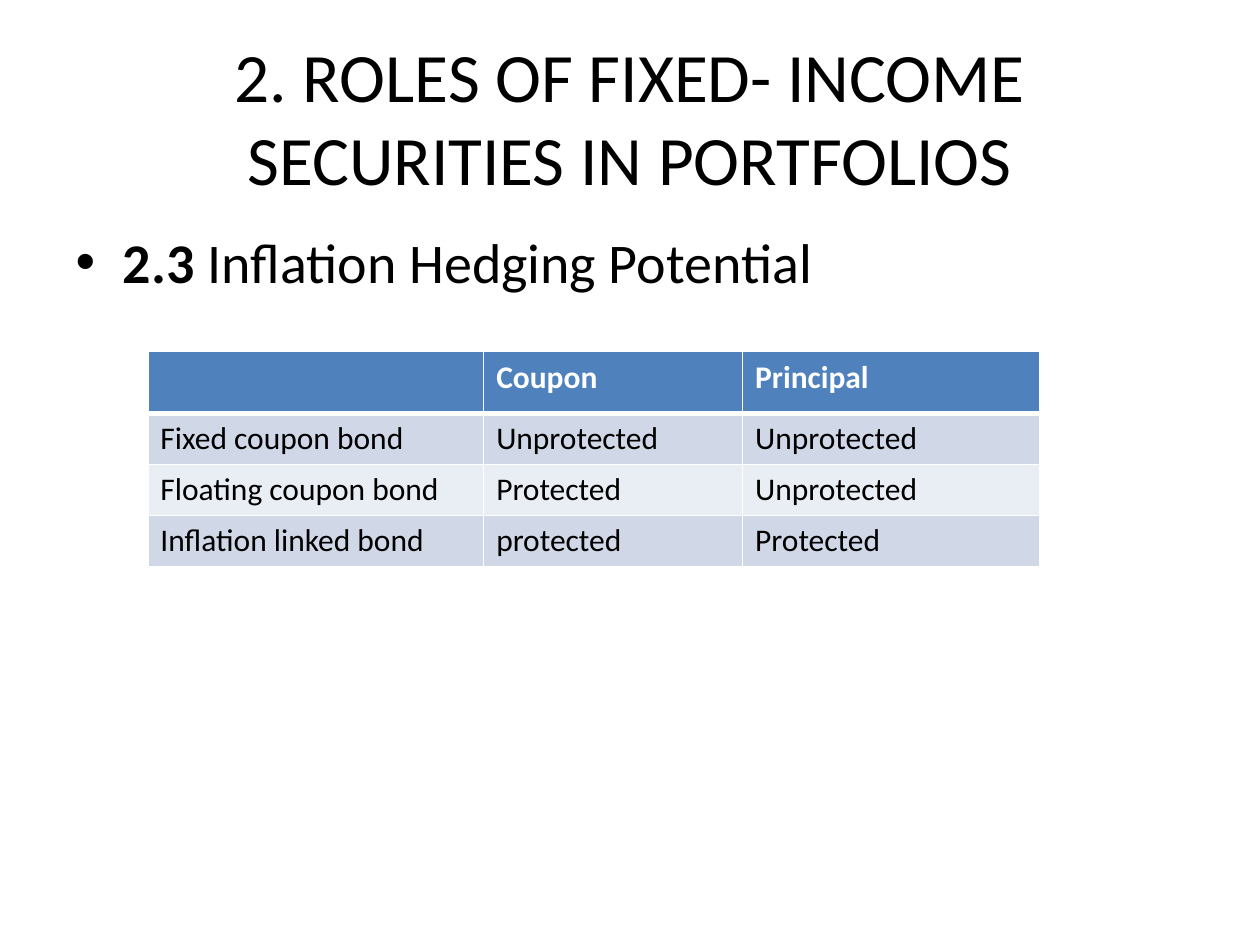
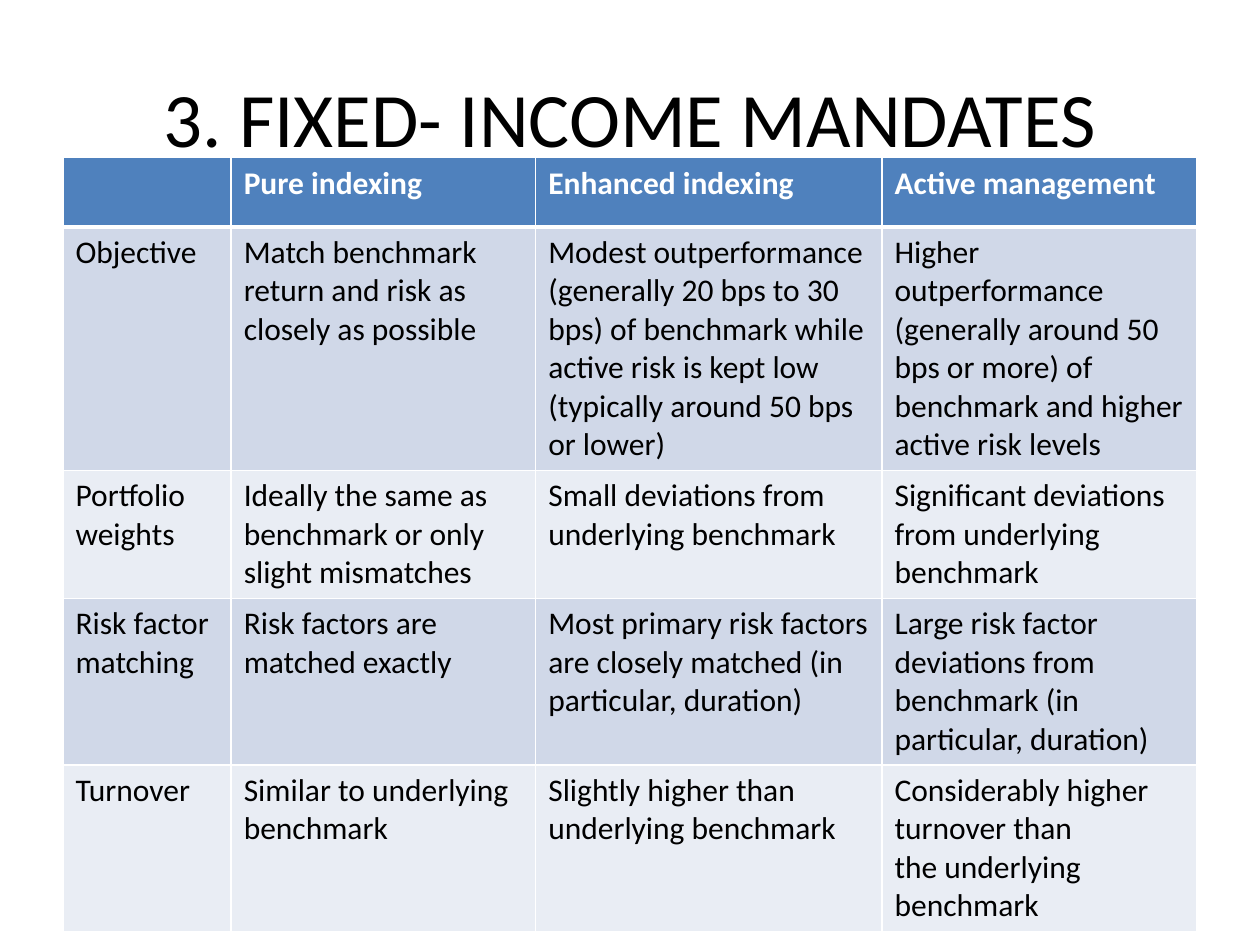
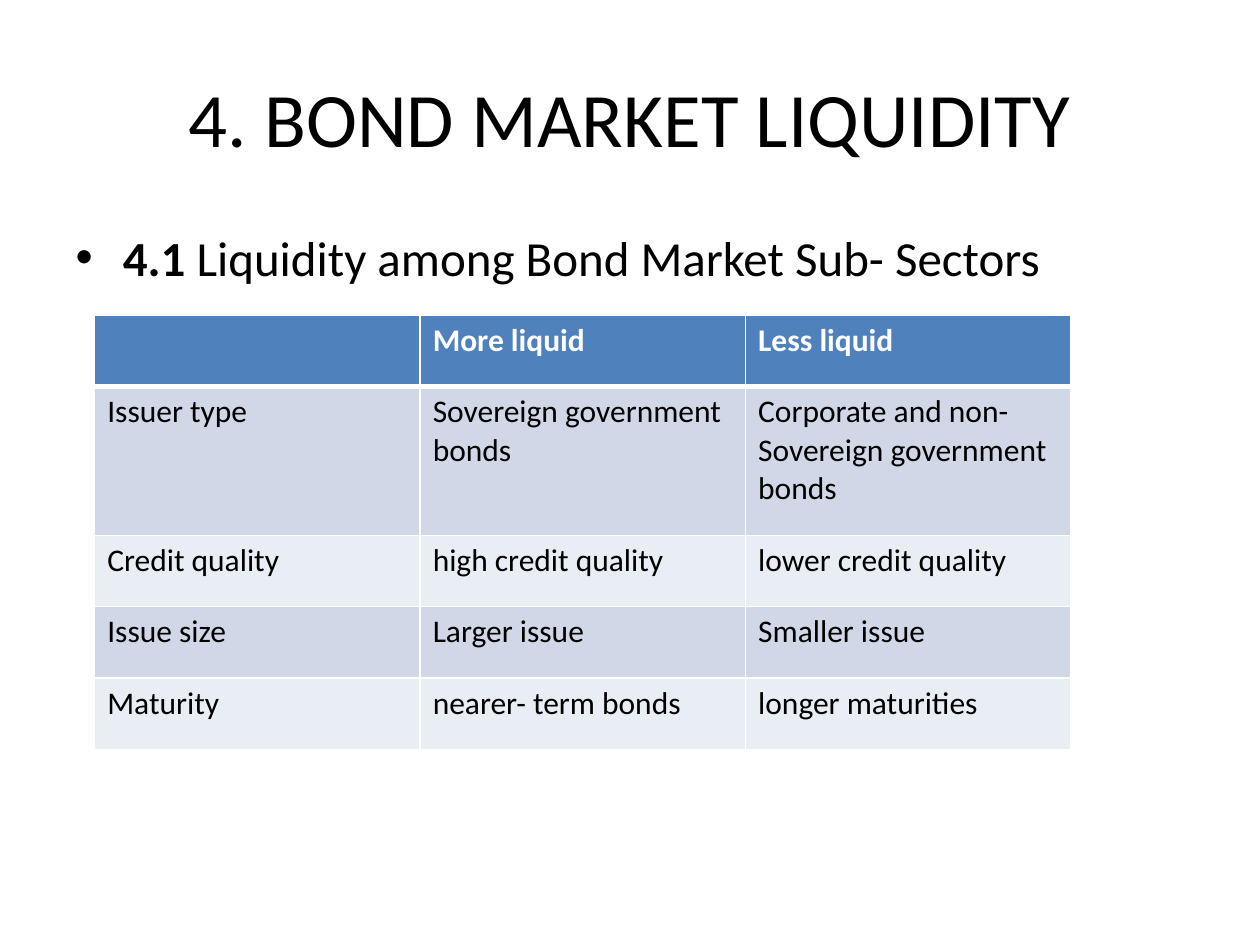
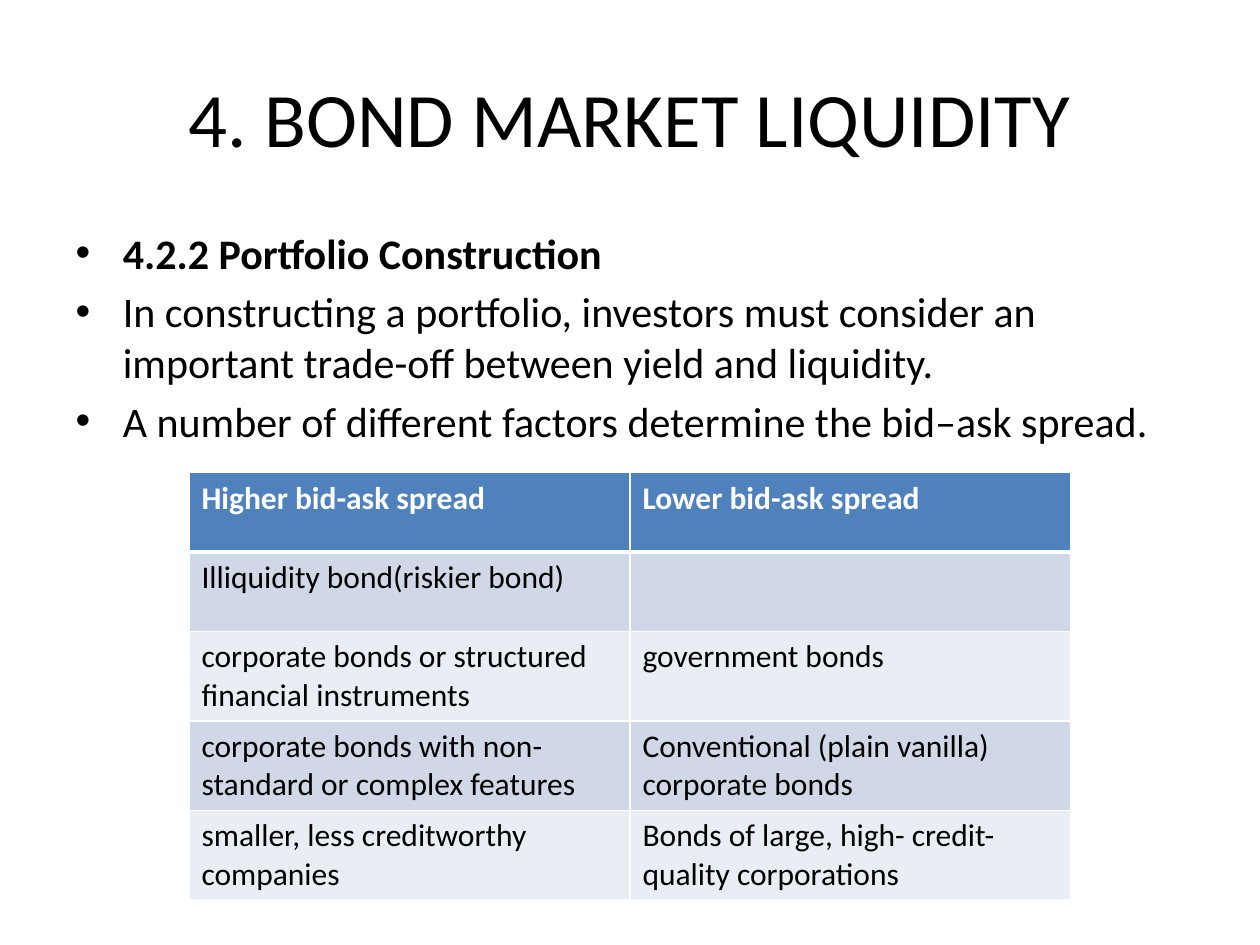
from lxml.etree import SubElement
from pptx import Presentation
from pptx.dml.color import RGBColor as RGB
from pptx.enum.text import MSO_ANCHOR as Anchor, MSO_AUTO_SIZE as AutoSize, PP_ALIGN as Align
from pptx.oxml.ns import qn
from pptx.util import Cm, Pt

# Shared style
FONT = "Calibri"
COLORS = {
    "text": "000000",
    "header": "4F81BD",
    "header_text": "FFFFFF",
    "band_dark": "D0D8E8",
    "band_light": "E9EDF4",
    "grid": "FFFFFF",
}
TITLE_BOX = (1.27, 0.76, 22.86, 3.18)
BODY_BOX = (1.27, 4.45, 22.86, 12.57)
TITLE_AND_BODY, TITLE_ONLY = 1, 5
LIQUIDITY_TITLE = "4. BOND MARKET LIQUIDITY"


class Deck:
    """Holds the presentation, its style and the current slide."""

    def __init__(self):
        self.prs = Presentation()
        self.prs.slide_width, self.prs.slide_height = Cm(25.4), Cm(19.05)
        self.s = None

    def slide(self, title, size=44, layout=TITLE_AND_BODY):
        self.s = self.prs.slides.add_slide(self.prs.slide_layouts[layout])
        tf = self.place(self.s.shapes.title, TITLE_BOX)
        tf.vertical_anchor = Anchor.MIDDLE
        tf.text = title
        tf.paragraphs[0].alignment = Align.CENTER
        self.format(tf.paragraphs[0].runs[0], size)

    def place(self, sp, box):
        sp.left, sp.top, sp.width, sp.height = (Cm(v) for v in box)
        tf = sp.text_frame
        tf.word_wrap = True
        tf.auto_size = AutoSize.NONE
        return tf

    def format(self, r, size, color="text", bold=False):
        r.font.name, r.font.size, r.font.bold = FONT, Pt(size), bold
        r.font.color.rgb = RGB.from_string(COLORS[color])

    def bullets(self, items, size):
        """Each item is a (bold lead, plain rest) pair."""
        tf = self.place(self.s.placeholders[1], BODY_BOX)
        for i, (lead, rest) in enumerate(items):
            p = tf.add_paragraph() if i else tf.paragraphs[0]
            for text, bold in ((lead, True), (rest, False)):
                if text:
                    r = p.add_run()
                    r.text = text
                    self.format(r, size, bold=bold)

    def table(self, left, top, widths, heights, rows):
        frame = self.s.shapes.add_table(
            len(rows), len(widths), Cm(left), Cm(top), Cm(sum(widths)), Cm(sum(heights)))
        tbl = frame.table
        for col, width in zip(tbl.columns, widths):
            col.width = Cm(width)
        for i, (row, height) in enumerate(zip(rows, heights)):
            tbl.rows[i].height = Cm(height)
            for j, text in enumerate(row):
                self.cell(tbl.cell(i, j), i, text)

    def cell(self, cell, row, text):
        is_header = row == 0
        # A thick rule separates the header from the rows
        self.borders(cell, top=3 if row == 1 else 1, bottom=3 if is_header else 1)
        fill = "header" if is_header else "band_dark" if row % 2 else "band_light"
        cell.fill.solid()
        cell.fill.fore_color.rgb = RGB.from_string(COLORS[fill])
        cell.text_frame.text = text
        for p in cell.text_frame.paragraphs:
            p.font.size = Pt(18)
            for r in p.runs:
                self.format(r, 18, "header_text" if is_header else "text", is_header)

    def borders(self, cell, top, bottom):
        tc_pr = cell._tc.get_or_add_tcPr()
        for side, width in (("L", 1), ("R", 1), ("T", top), ("B", bottom)):
            ln = SubElement(tc_pr, qn(f"a:ln{side}"), w=str(Pt(width)))
            fill = SubElement(ln, qn("a:solidFill"))
            SubElement(fill, qn("a:srgbClr"), val=COLORS["grid"])


def main():
    deck = Deck()

    # Inflation hedging
    deck.slide("2. ROLES OF FIXED- INCOME SECURITIES IN PORTFOLIOS", size=39.6)
    deck.bullets([("2.3 ", "Inflation Hedging Potential")], 32)
    deck.table(2.98, 7.09, [6.77, 5.22, 5.99], [1.24] + [1] * 3, [
        ("", "Coupon", "Principal"),
        ("Fixed coupon bond", "Unprotected", "Unprotected"),
        ("Floating coupon bond", "Protected", "Unprotected"),
        ("Inflation linked bond", "protected", "Protected"),
    ])

    # Mandates
    deck.slide("3. FIXED- INCOME MANDATES", layout=TITLE_ONLY)
    deck.table(1.27, 3.18, [3.39, 6.14, 6.98, 6.35], [1.4] + [2.24] * 4, [
        ("", "Pure indexing", "Enhanced indexing", "Active management"),
        ("Objective",
         "Match benchmark return and risk as closely as possible",
         "Modest outperformance (generally 20 bps to 30 bps) of benchmark while "
         "active risk is kept low\n(typically around 50 bps or lower)",
         "Higher outperformance (generally around 50 bps or more) of benchmark "
         "and higher active risk levels"),
        ("Portfolio weights",
         "Ideally the same as\nbenchmark or only slight mismatches",
         "Small deviations from underlying benchmark",
         "Significant deviations from underlying\nbenchmark"),
        ("Risk factor matching",
         "Risk factors are matched exactly",
         "Most primary risk factors are closely matched (in particular, duration)",
         "Large risk factor deviations from\nbenchmark (in particular, duration)"),
        ("Turnover",
         "Similar to underlying\nbenchmark",
         "Slightly higher than underlying benchmark",
         "Considerably higher turnover than\nthe underlying benchmark"),
    ])

    # Liquidity among sub-sectors
    deck.slide(LIQUIDITY_TITLE)
    deck.bullets([("4.1 ", "Liquidity among Bond Market Sub- Sectors")], 28)
    deck.table(1.91, 6.35, [6.56] * 3, [1.44, 3] + [1.44] * 3, [
        ("", "More liquid", "Less liquid"),
        ("Issuer type", "Sovereign government bonds",
         "Corporate and non-Sovereign government bonds"),
        ("Credit quality", "high credit quality", "lower credit quality"),
        ("Issue size", "Larger issue", "Smaller issue"),
        ("Maturity", "nearer- term bonds", "longer maturities"),
    ])

    # Portfolio construction
    deck.slide(LIQUIDITY_TITLE)
    deck.bullets([
        ("4.2.2 Portfolio Construction", ""),
        ("", "In constructing a portfolio, investors must consider an important "
             "trade-off between yield and liquidity."),
        ("", "A number of different factors determine the bid–ask spread."),
    ], 24)
    deck.table(3.81, 9.53, [8.89] * 2, [1.6] * 5, [
        ("Higher bid-ask spread", "Lower bid-ask spread"),
        ("Illiquidity bond(riskier bond)", ""),
        ("corporate bonds or structured\nfinancial instruments", "government bonds"),
        ("corporate bonds with non- standard or complex features",
         "Conventional (plain vanilla)\ncorporate bonds"),
        ("smaller, less creditworthy companies",
         "Bonds of large, high- credit- quality corporations"),
    ])

    deck.prs.save("out.pptx")


if __name__ == "__main__":
    main()
